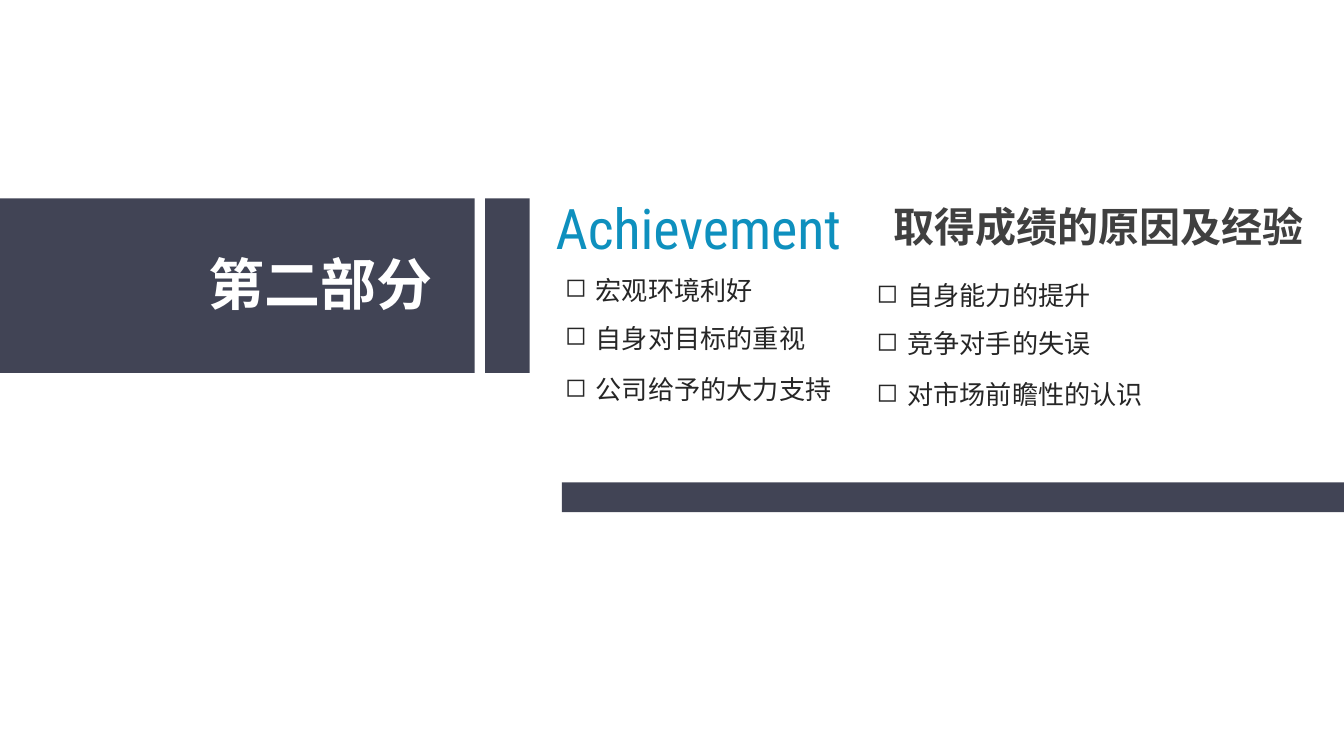
"""Build the section slide for part two: reasons behind the achievements."""
import dataclasses

import lxml.etree
import pptx
import pptx.dml.color
import pptx.enum.shapes
import pptx.enum.text
import pptx.oxml.ns
import pptx.util

Cm = pptx.util.Cm


@dataclasses.dataclass(frozen=True)
class Theme:
    slate: str = "414455"
    white: str = "FFFFFF"
    blue: str = "0E90BE"
    heading: str = "404040"
    body: str = "262626"
    chinese_font: str = "Noto Sans CJK SC"
    latin_font: str = "Roboto Condensed"
    title_size: int = 30
    heading_size: int = 22
    body_size: int = 14


class SectionSlide:
    def __init__(self, deck, theme):
        self.theme = theme
        self.slide = deck.slides.add_slide(deck.slide_layouts[6])

    def bar(self, left, top, width, height):
        bar = self.slide.shapes.add_shape(
            pptx.enum.shapes.MSO_SHAPE.RECTANGLE,
            Cm(left), Cm(top), Cm(width), Cm(height))
        bar.shadow.inherit = False
        bar.fill.solid()
        bar.fill.fore_color.rgb = pptx.dml.color.RGBColor.from_string(self.theme.slate)
        bar.line.fill.background()

    def text(self, words, left, top, width, height, size, color, font, bold=False):
        box = self.slide.shapes.add_textbox(Cm(left), Cm(top), Cm(width), Cm(height))
        frame = box.text_frame
        frame.word_wrap = False
        frame.auto_size = pptx.enum.text.MSO_AUTO_SIZE.SHAPE_TO_FIT_TEXT
        frame.margin_left = frame.margin_right = Cm(0.19)
        frame.margin_top = frame.margin_bottom = Cm(0.1)
        para = frame.paragraphs[0]
        span = para.add_run()
        span.text = words
        span.font.size = pptx.util.Pt(size)
        span.font.bold = bold
        span.font.name = font
        span.font.color.rgb = pptx.dml.color.RGBColor.from_string(color)
        east_asian = lxml.etree.SubElement(
            span.font._element, pptx.oxml.ns.qn("a:ea"))
        east_asian.set("typeface", font)
        return para

    def bullet(self, words, left, top):
        theme = self.theme
        width = 1.02 + 0.494 * len(words)
        para = self.text(words, left, top, width, 0.79,
                         theme.body_size, theme.body, theme.chinese_font)
        properties = para._p.get_or_add_pPr()
        properties.set("marL", str(Cm(0.58)))
        properties.set("indent", str(-Cm(0.58)))
        mark = lxml.etree.SubElement(properties, pptx.oxml.ns.qn("a:buChar"))
        mark.set("char", "◻")

    def bullet_column(self, items, left, top):
        for words, offset in zip(items, (0, 0.91, 1.88)):
            self.bullet(words, left, top + offset)


def main():
    deck = pptx.Presentation()
    deck.slide_width, deck.slide_height = Cm(25.4), Cm(14.29)
    theme = Theme()
    page = SectionSlide(deck, theme)

    page.bar(0, 3.75, 8.97, 3.3)
    page.bar(9.17, 3.75, 0.84, 3.3)
    page.bar(10.62, 9.12, 14.78, 0.56)

    page.text("第二部分", 3.76, 4.62, 4.65, 1.47,
              theme.title_size, theme.white, theme.chinese_font, bold=True)
    page.text("Achievement", 10.31, 3.56, 6.12, 1.47,
              theme.title_size, theme.blue, theme.latin_font)
    page.text("取得成绩的原因及经验", 16.69, 3.71, 8.23, 1.14,
              theme.heading_size, theme.heading, theme.chinese_font, bold=True)

    page.bullet_column(
        ("宏观环境利好", "自身对目标的重视", "公司给予的大力支持"), 10.49, 5.08)
    page.bullet_column(
        ("自身能力的提升", "竞争对手的失误", "对市场前瞻性的认识"), 16.38, 5.18)

    deck.save("out.pptx")


if __name__ == "__main__":
    main()
